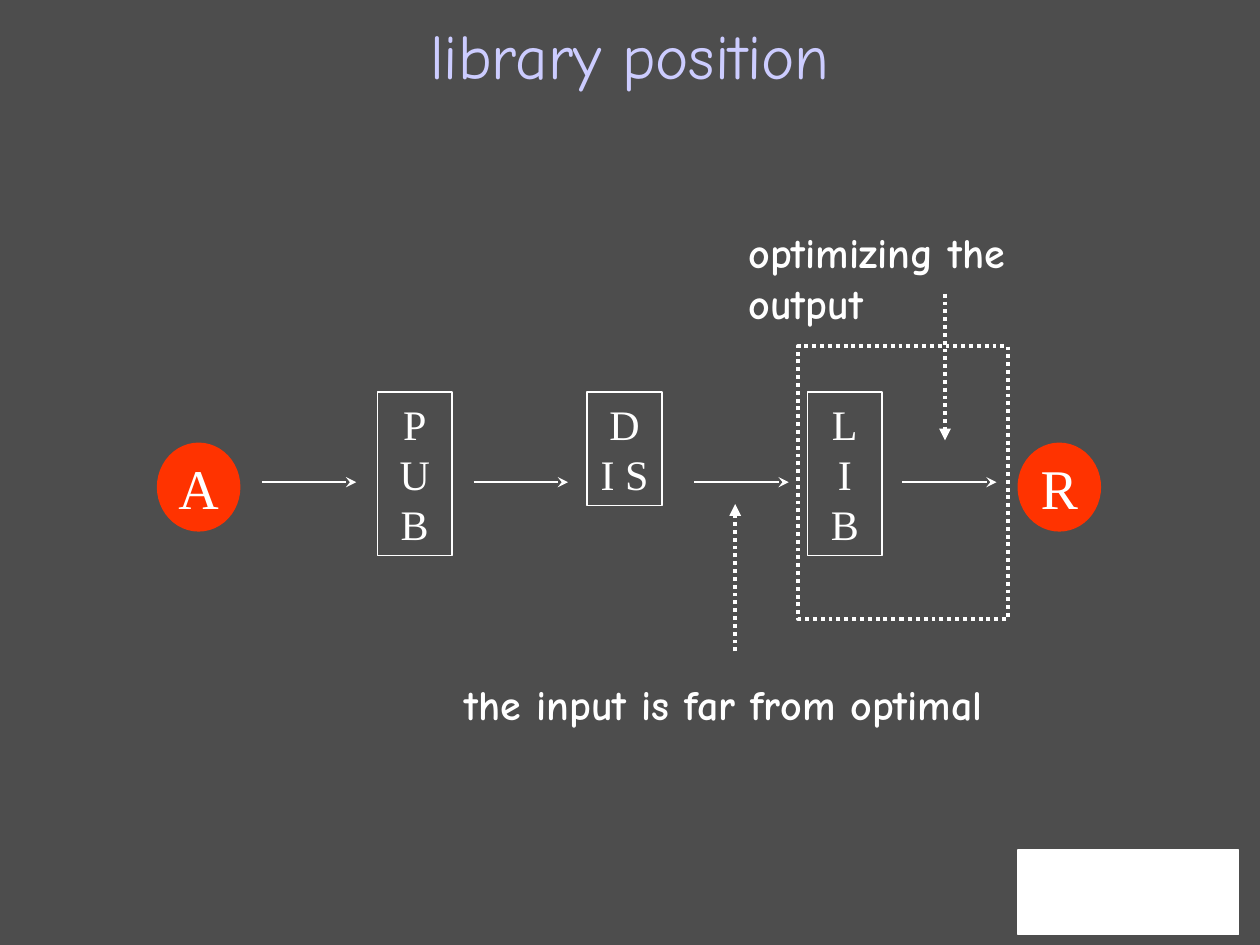
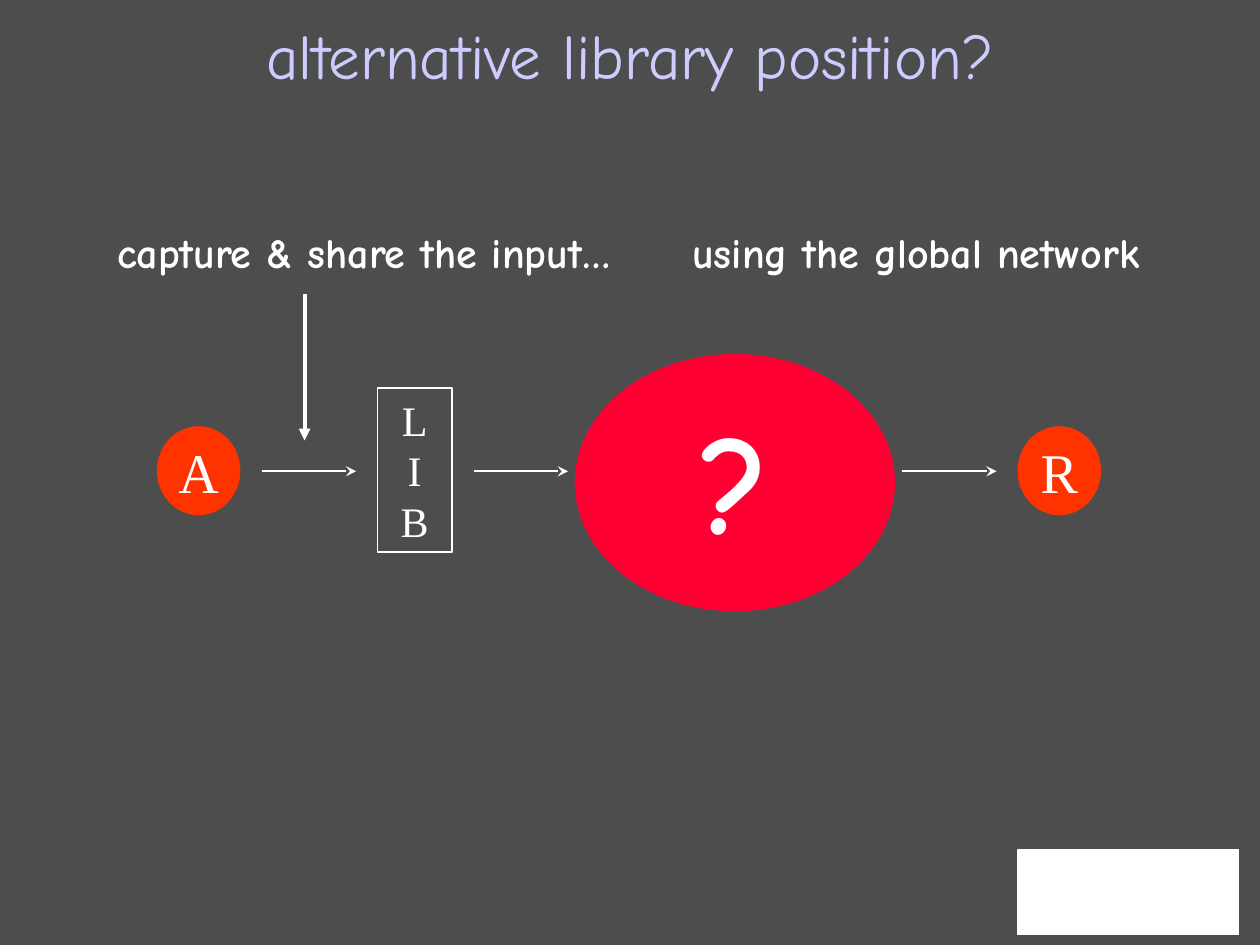
from lxml.etree import SubElement
from pptx import Presentation
from pptx.dml.color import RGBColor
from pptx.enum.dml import MSO_LINE
from pptx.enum.shapes import MSO_CONNECTOR, MSO_SHAPE
from pptx.enum.text import MSO_ANCHOR, MSO_AUTO_SIZE, PP_ALIGN
from pptx.oxml.ns import qn
from pptx.util import Cm, Pt

GREY, WHITE, LILAC = "4D4D4D", "FFFFFF", "CCCCFF"
ORANGE, RED = "FF3300", "FF0033"
HAND, SERIF = "Comic Neue", "Times New Roman"

# Text formats
TITLE = {"name": HAND, "size": Pt(36), "color": LILAC}
CAPTION = {"name": HAND, "size": Pt(24), "bold": True, "color": WHITE}
QUESTION = {"name": HAND, "size": Pt(80), "bold": True, "color": WHITE}
PERSON = {"name": SERIF, "size": Pt(32), "color": WHITE}
STATION = {"name": SERIF, "size": Pt(24), "color": WHITE}

# Horizontal places shared by both chains, in cm
AUTHOR_LEFT, READER_LEFT = 3.18, 20.53
FIRST_BOX, SECOND_BOX, THIRD_BOX = 7.61, 11.84, 16.28
ARROWS = {"after author": 5.28, "after first": 9.55,
          "after second": 14, "before reader": 18.19}
CAPTION_TOP, POINTER_TOP, POINTER_LENGTH = 4.45, 5.92, 2.96


def color(hex_string):
    return RGBColor.from_string(hex_string)


class Deck:
    def __init__(self):
        self.presentation = Presentation()
        self.presentation.slide_width = Cm(25.4)
        self.presentation.slide_height = Cm(19.05)
        self.slide = None

    def new_slide(self, title):
        self.slide = self.presentation.slides.add_slide(self.presentation.slide_layouts[6])
        background = self.slide.background.fill
        background.solid()
        background.fore_color.rgb = color(GREY)
        self.outline(MSO_SHAPE.RECTANGLE, (20.53, 17.14, 4.44, 1.7), fill=WHITE)
        self.text(title, (0, 0.2, 25.4, 1.78), TITLE, PP_ALIGN.CENTER, wrap=True)

    def set_text(self, shape, lines, style, align, wrap):
        frame = shape.text_frame
        frame.word_wrap = wrap
        frame.auto_size = MSO_AUTO_SIZE.SHAPE_TO_FIT_TEXT
        frame.vertical_anchor = MSO_ANCHOR.TOP
        frame.text = lines
        for paragraph in frame.paragraphs:
            paragraph.alignment = align
            for name, value in style.items():
                if name == "color":
                    paragraph.font.color.rgb = color(value)
                else:
                    setattr(paragraph.font, name, value)

    def text(self, lines, place, style, align=PP_ALIGN.LEFT, wrap=False):
        box = self.slide.shapes.add_textbox(*map(Cm, place))
        self.set_text(box, lines, style, align, wrap)

    def line_style(self, line, line_color, width, dotted):
        line.color.rgb = color(line_color)
        line.width = Pt(width)
        if dotted:
            line.dash_style = MSO_LINE.ROUND_DOT

    def outline(self, kind, place, fill=None, line=WHITE, width=1, dotted=False):
        shape = self.slide.shapes.add_shape(kind, *map(Cm, place))
        shape.shadow.inherit = False
        if fill:
            shape.fill.solid()
            shape.fill.fore_color.rgb = color(fill)
        else:
            shape.fill.background()
        self.line_style(shape.line, line, width, dotted)
        return shape

    def disc(self, label, place, fill, style, drop, width=1):
        """Filled ellipse with a label starting `drop` cm below its top."""
        self.outline(MSO_SHAPE.OVAL, place, fill, fill, width)
        left, top, across, height = place
        self.text(label, (left, top + drop, across, height - 2 * drop), style, PP_ALIGN.CENTER)

    def people(self, top):
        for label, left in (("A", AUTHOR_LEFT), ("R", READER_LEFT)):
            self.disc(label, (left, top, 1.65, 1.76), ORANGE, PERSON, 0.08)

    def station(self, lines, left, top, height=3.3):
        box = self.outline(MSO_SHAPE.RECTANGLE, (left, top, 1.5, height))
        self.set_text(box, lines, STATION, PP_ALIGN.CENTER, True)

    def arrow(self, start, end, head="stealth", width=1, dotted=False):
        connector = self.slide.shapes.add_connector(
            MSO_CONNECTOR.STRAIGHT, *map(Cm, start + end))
        self.line_style(connector.line, WHITE, width, dotted)
        properties = connector._element.spPr
        SubElement(properties.find(qn("a:ln")), qn("a:tailEnd"), type=head)
        SubElement(properties, qn("a:effectLst"))

    def flow(self, places, y):
        for place in places:
            left = ARROWS[place]
            self.arrow((left, y), (left + 1.9, y))

    def pointer(self, x, start, end, dotted=False):
        self.arrow((x, start), (x, end), "triangle", 2.25, dotted)


def library_position(deck):
    deck.new_slide("library position")
    # Chain from author to reader
    deck.people(8.94)
    deck.station("P\nU\nB", FIRST_BOX, 7.9)
    deck.station("D I S", SECOND_BOX, 7.9, 2.29)
    deck.station("L\nI\nB", THIRD_BOX, 7.9)
    deck.flow(ARROWS, 9.72)
    # Input side
    deck.pointer(14.82, 13.13, 10.16, dotted=True)
    deck.text("the input is far from optimal", (9.12, 13.55, 11.28, 1.27), CAPTION)
    # Output side
    deck.pointer(19.05, POINTER_TOP, POINTER_TOP + POINTER_LENGTH, dotted=True)
    deck.text("optimizing the output", (14.84, CAPTION_TOP, 8.28, 1.27), CAPTION)
    deck.outline(MSO_SHAPE.RECTANGLE, (16.09, 6.98, 4.23, 5.5), width=2.25, dotted=True)


def alternative_position(deck):
    deck.new_slide("alternative library position?")
    # Chain from author to reader
    deck.people(8.61)
    deck.flow(("after author", "after first", "before reader"), 9.5)
    deck.station("L\nI\nB", FIRST_BOX, 7.83)
    deck.disc("?", (11.64, 7.19, 6.35, 5.08), RED, QUESTION, 0.64, width=3)
    # Captions
    deck.pointer(6.14, POINTER_TOP, POINTER_TOP + POINTER_LENGTH)
    deck.text("capture & share the input…", (2.11, CAPTION_TOP, 10.49, 1.27), CAPTION)
    deck.text("using the global network", (13.7, CAPTION_TOP, 9.53, 1.27), CAPTION,
              PP_ALIGN.CENTER)


def main():
    deck = Deck()
    library_position(deck)
    alternative_position(deck)
    deck.presentation.save("out.pptx")


if __name__ == "__main__":
    main()
